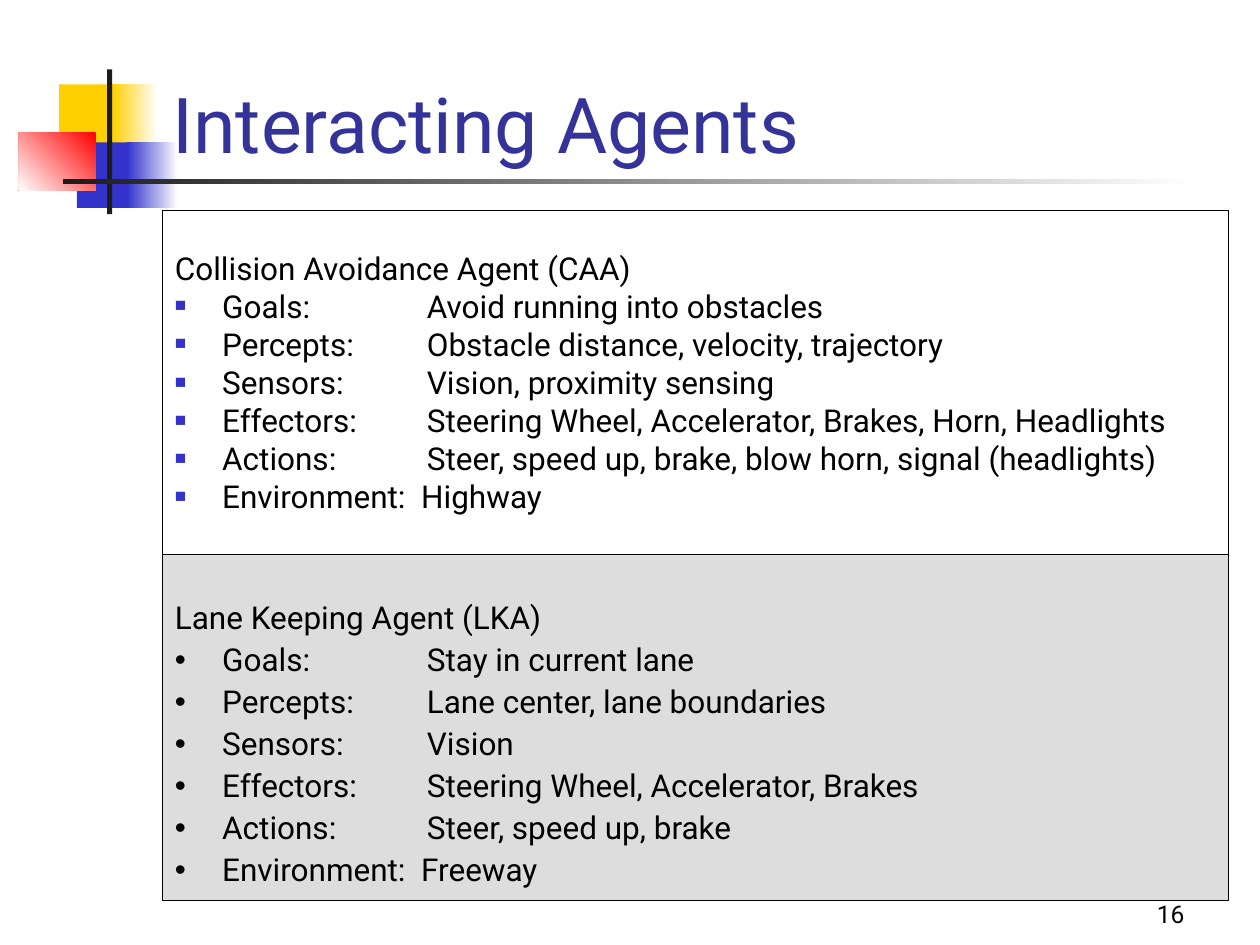
"""Build the "Interacting Agents" slide with two agent description panels."""
from dataclasses import dataclass
from typing import Optional

from lxml import etree
from pptx import Presentation
from pptx import util as u
from pptx.dml.color import RGBColor
from pptx.enum import shapes, text
from pptx.oxml.ns import qn

COLORS = {
    "white": "FFFFFF", "black": "000000", "yellow": "FFCF01", "blue": "3333CC",
    "red": "FF0000", "ink": "1C1C1C", "title": "333399", "grey": "DDDDDD",
}
FONT = "Roboto"
PANEL_LEFT, PANEL_WIDTH = 92.9, 609.1
INDENT, TAB_STOP = 27, 144


@dataclass
class Ornament:
    left: float
    top: float
    width: float
    height: float
    color: str
    fade_to: Optional[str] = None
    angle: float = 180


@dataclass
class Agent:
    heading: str
    traits: list[tuple[str, str]]
    top: float
    height: float
    top_inset: float
    line_spacing: float
    bullet: str
    bullet_color: str
    bullet_percent: int
    fill: Optional[str] = None


ORNAMENTS = [
    Ornament(33.8, 48.2, 34.6, 37.4, "yellow"),
    Ornament(64.1, 48.2, 25.9, 37.4, "white", "yellow"),
    Ornament(43.9, 81.4, 33.1, 37.4, "blue"),
    Ornament(72.7, 81.4, 28.8, 37.4, "white", "blue"),
    Ornament(10.8, 75.6, 43.9, 33.1, "red", "white", 225),
    Ornament(61.2, 39.6, 2.9, 82.8, "ink"),
    Ornament(36, 102.2, 648, 2.9, "white", "ink"),
]

AGENTS = [
    Agent("Collision Avoidance Agent (CAA)", [
        ("Goals:\t", "Avoid running into obstacles"),
        ("Percepts:\t", "Obstacle distance, velocity, trajectory"),
        ("Sensors:\t", "Vision, proximity sensing"),
        ("Effectors:\t", "Steering Wheel, Accelerator, Brakes, Horn, Headlights"),
        ("Actions:\t", "Steer, speed up, brake, blow horn, signal (headlights)"),
        ("Environment:  ", "Highway"),
    ], 120.2, 215.3, 26, 0.8, "■", "blue", 60),
    Agent("Lane Keeping Agent (LKA)", [
        ("Goals:\t", "Stay in current lane"),
        ("Percepts:\t", "Lane center, lane boundaries"),
        ("Sensors:\t", "Vision"),
        ("Effectors:\t", "Steering Wheel, Accelerator, Brakes"),
        ("Actions:\t", "Steer, speed up, brake"),
        ("Environment:  ", "Freeway"),
    ], 316.8, 198, 27.5, 0.9, "•", "black", 100, "grey"),
]


def rgb(name: str) -> RGBColor:
    """Return the named palette colour."""
    return RGBColor.from_string(COLORS[name])


def add_run(paragraph, words: str, size: float, color: str) -> None:
    """Append one formatted run."""
    run = paragraph.add_run()
    run.text = words
    run.font.name = FONT
    run.font.size = u.Pt(size)
    run.font.color.rgb = rgb(color)


def set_frame(frame, anchor, top_inset: float = 3.6) -> None:
    """Set wrapping, anchor and insets of a text frame."""
    frame.word_wrap = True
    frame.auto_size = text.MSO_AUTO_SIZE.NONE
    frame.vertical_anchor = anchor
    frame.margin_left = frame.margin_right = u.Pt(7.2)
    frame.margin_top, frame.margin_bottom = u.Pt(top_inset), u.Pt(3.6)


def add_rectangle(slide, left: float, top: float, width: float, height: float):
    """Add a rectangle without shadow."""
    rectangle = slide.shapes.add_shape(
        shapes.MSO_SHAPE.RECTANGLE, u.Pt(left), u.Pt(top), u.Pt(width), u.Pt(height))
    rectangle.shadow.inherit = False
    return rectangle


def draw_ornament(slide, ornament: Ornament) -> None:
    """Draw one solid or fading block of the title decoration."""
    block = add_rectangle(slide, ornament.left, ornament.top, ornament.width, ornament.height)
    block.line.fill.background()
    if ornament.fade_to is None:
        block.fill.solid()
        block.fill.fore_color.rgb = rgb(ornament.color)
        return
    block.fill.gradient()
    block.fill.gradient_angle = ornament.angle
    for stop, color in zip(block.fill.gradient_stops, (ornament.color, ornament.fade_to)):
        stop.color.rgb = rgb(color)


def add_bullet(paragraph, agent: Agent) -> None:
    """Give a paragraph its bullet and tab stop."""
    properties = paragraph._p.get_or_add_pPr()
    color = etree.SubElement(properties, qn("a:buClr"))
    etree.SubElement(color, qn("a:srgbClr"), val=COLORS[agent.bullet_color])
    etree.SubElement(properties, qn("a:buSzPct"), val=str(agent.bullet_percent * 1000))
    etree.SubElement(properties, qn("a:buFont"), typeface="Arial")
    etree.SubElement(properties, qn("a:buChar"), char=agent.bullet)
    tabs = etree.SubElement(properties, qn("a:tabLst"))
    etree.SubElement(tabs, qn("a:tab"), pos=str(u.Pt(TAB_STOP)), algn="l")


def draw_agent(slide, agent: Agent) -> None:
    """Draw an agent's panel with its heading and bulleted traits."""
    panel = add_rectangle(slide, PANEL_LEFT, agent.top, PANEL_WIDTH, agent.height)
    panel.line.color.rgb = rgb("black")
    panel.line.width = u.Pt(0.75)
    if agent.fill:
        panel.fill.solid()
        panel.fill.fore_color.rgb = rgb(agent.fill)
    else:
        panel.fill.background()
    frame = panel.text_frame
    set_frame(frame, text.MSO_ANCHOR.TOP, agent.top_inset)
    for index, (label, value) in enumerate([(agent.heading, ""), *agent.traits]):
        paragraph = frame.add_paragraph() if index else frame.paragraphs[0]
        paragraph.alignment = text.PP_ALIGN.LEFT
        paragraph.line_spacing = agent.line_spacing
        paragraph.space_before = u.Pt(4.5)
        properties = paragraph._p.get_or_add_pPr()
        properties.set("marL", str(u.Pt(INDENT)))
        properties.set("indent", str(-u.Pt(INDENT)))
        if index:
            add_bullet(paragraph, agent)
        add_run(paragraph, label + value, 18, "black")


def draw_title(slide, words: str) -> None:
    """Place the title in front of the decoration."""
    title = slide.shapes.title
    title.left, title.top, title.width, title.height = map(u.Pt, (91.4, 10.1, 613.4, 90))
    set_frame(title.text_frame, text.MSO_ANCHOR.BOTTOM)
    paragraph = title.text_frame.paragraphs[0]
    paragraph.alignment = text.PP_ALIGN.LEFT
    add_run(paragraph, words, 44, "title")
    slide.shapes._spTree.append(title._element)


def draw_page_number(slide, number: str) -> None:
    """Write the page number at the lower right."""
    box = slide.shapes.add_textbox(u.Pt(534.2), u.Pt(498.2), u.Pt(149.8), u.Pt(36))
    set_frame(box.text_frame, text.MSO_ANCHOR.BOTTOM)
    paragraph = box.text_frame.paragraphs[0]
    paragraph.alignment = text.PP_ALIGN.RIGHT
    add_run(paragraph, number, 14, "black")


def main() -> None:
    """Assemble and save the slide."""
    deck = Presentation()
    deck.slide_width, deck.slide_height = u.Pt(720), u.Pt(540)
    slide = deck.slides.add_slide(deck.slide_layouts[5])
    for ornament in ORNAMENTS:
        draw_ornament(slide, ornament)
    draw_title(slide, "Interacting Agents")
    for agent in AGENTS:
        draw_agent(slide, agent)
    draw_page_number(slide, "16")
    deck.save("out.pptx")


if __name__ == "__main__":
    main()
